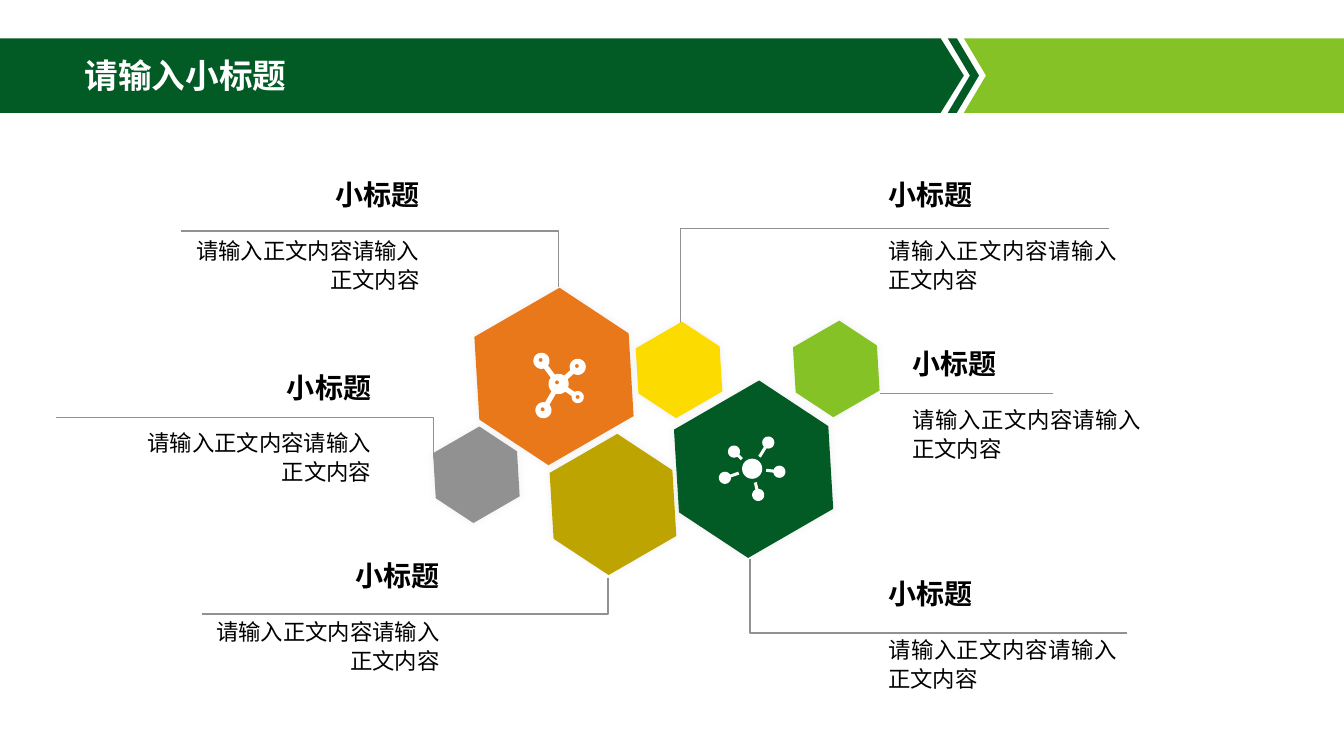
from dataclasses import dataclass
from math import asin, atan2, cos, hypot, pi, sin

from lxml import etree
from pptx import Presentation
from pptx.dml.color import RGBColor
from pptx.enum.shapes import MSO_CONNECTOR, MSO_SHAPE
from pptx.enum.text import MSO_ANCHOR, MSO_AUTO_SIZE, PP_ALIGN
from pptx.oxml.ns import qn
from pptx.util import Emu, Pt

SCALE = 9144  # EMU in one px, 100 px to the inch
FONT = "Noto Sans CJK SC"
GREEN, LIME, GREY = "025B25", "85C226", "919191"
WHITE, BLACK, SHADE = "FFFFFF", "000000", "D9D9D9"
HEXAGON, STRAIGHT = MSO_SHAPE.HEXAGON, MSO_CONNECTOR.STRAIGHT
LEFT, RIGHT, JUSTIFY = PP_ALIGN.LEFT, PP_ALIGN.RIGHT, PP_ALIGN.JUSTIFY
TOP, MIDDLE = MSO_ANCHOR.TOP, MSO_ANCHOR.MIDDLE
NONE, GROW = MSO_AUTO_SIZE.NONE, MSO_AUTO_SIZE.SHAPE_TO_FIT_TEXT

Point = tuple[float, float]


@dataclass
class Hex:
    left: int
    top: int
    width: int
    height: int
    fill: str


@dataclass
class Note:
    left: int
    top: int
    right: bool


@dataclass
class Atom:
    x: int
    y: int
    radius: int


@dataclass
class Icon:
    hub: Atom
    atoms: list[Atom]
    rod: int
    gap: int  # space between hub and rods; 0 joins them
    shine: int  # radius of the glints


BANDS = [
    (GREEN, [(0, 38), (933, 38), (956, 75), (933, 112), (0, 112)]),
    (GREEN, [(940, 38), (949, 38), (971, 75), (949, 112), (940, 112), (962, 75)]),
    (LIME, [(956, 38), (1333, 38), (1333, 112), (956, 112), (978, 75)]),
]
LEADERS = [
    [(554, 285), (554, 229), (180, 229)],
    [(603, 573), (603, 609), (200, 609)],
    [(675, 320), (675, 227), (1100, 227)],
    [(744, 555), (744, 628), (1118, 628)],
    [(430, 454), (430, 414), (56, 414)],
]
NOTES = [
    Note(871, 175, False), Note(895, 343, False), Note(871, 571, False),
    Note(179, 175, True), Note(199, 553, True), Note(131, 366, True),
]
HEXES = [
    Hex(464, 300, 171, 147, "E8781A"), Hex(662, 392, 171, 147, GREEN),
    Hex(627, 327, 93, 80, "FCDB00"), Hex(783, 326, 93, 80, LIME),
    Hex(540, 442, 136, 117, "BDA400"), Hex(426, 431, 93, 80, GREY),
]
ICONS = [
    Icon(Atom(746, 465, 10),
         [Atom(752, 491, 6), Atom(719, 474, 6), Atom(773, 468, 6),
          Atom(728, 448, 6), Atom(762, 439, 6)], 3, 4, 0),
    Icon(Atom(554, 381, 10),
         [Atom(573, 364, 8), Atom(537, 358, 8), Atom(539, 407, 8),
          Atom(573, 394, 6)], 5, 0, 2),
]


def px(size: float) -> Emu:
    return Emu(round(size * SCALE))


def paint(fill, color: str) -> None:
    fill.solid()
    fill.fore_color.rgb = RGBColor.from_string(color)


def trace(shapes, paths: list[list[Point]], close: bool = True):
    pen = None
    for path in paths:
        (x, y), *rest = [(px(a), px(b)) for a, b in path]
        if pen is None:
            pen = shapes.build_freeform(x, y)
        else:
            pen.move_to(x, y)
        pen.add_line_segments(rest, close=close)
    shape = pen.convert_to_shape()
    shape.shadow.inherit = False
    return shape


def solid(shapes, paths: list[list[Point]], color: str) -> None:
    shape = trace(shapes, paths)
    paint(shape.fill, color)
    shape.line.fill.background()


def write(frame, text: str, size: int, color: str, bold: bool, align, space: float) -> None:
    par = frame.paragraphs[0]
    par.alignment, par.line_spacing = align, space
    run = par.add_run()
    run.text = text
    font = run.font
    font.name, font.size, font.bold = FONT, Pt(size), bold
    paint(font.fill, color)
    etree.SubElement(run.font._element, qn("a:ea"), typeface=FONT)


def box(shapes, left: int, top: int, high: int, fit):
    frame = shapes.add_textbox(px(left), px(top), px(247), px(high)).text_frame
    frame.word_wrap, frame.auto_size = True, fit
    frame.vertical_anchor = TOP
    return frame


def add_note(shapes, note: Note) -> None:
    body = box(shapes, note.left, note.top + 53, 76, NONE)
    write(body, "请输入正文内容请输入正文内容", 16, BLACK, False,
          RIGHT if note.right else JUSTIFY, 1.08)
    head = box(shapes, note.left, note.top, 44, GROW)
    write(head, "小标题", 20, BLACK, True, RIGHT if note.right else LEFT, 0.9)


def add_hex(shapes, item: Hex) -> None:
    shape = shapes.add_shape(HEXAGON, px(item.left), px(item.top),
                             px(item.width), px(item.height))
    shape.rotation = 330
    paint(shape.fill, item.fill)
    shape.line.fill.background()
    shape.shadow.inherit = False
    glow = shape.element.spPr.find(qn("a:effectLst"))
    outer = etree.SubElement(glow, qn("a:outerShdw"), blurRad=str(Pt(5)),
                             dist="0", dir="0", algn="ctr", rotWithShape="0")
    tint = etree.SubElement(outer, qn("a:srgbClr"), val=SHADE)
    etree.SubElement(tint, qn("a:alpha"), val="40000")


def arc(atom: Atom, start: float, end: float, steps: int = 24) -> list[Point]:
    turns = [start + (end - start) * i / steps for i in range(steps + 1)]
    return [(atom.x + atom.radius * cos(t), atom.y + atom.radius * sin(t)) for t in turns]


def add_icon(shapes, icon: Icon) -> None:
    hub = icon.hub

    def angle(atom: Atom) -> float:
        return atan2(atom.y - hub.y, atom.x - hub.x)

    root = Atom(hub.x, hub.y, hub.radius + icon.gap)
    bend = asin(icon.rod / 2 / root.radius)
    ring = sorted(icon.atoms, key=angle)
    arms = []
    for i, atom in enumerate(ring):
        turn = angle(atom)
        slant = asin(icon.rod / 2 / atom.radius)
        ball = arc(atom, turn + pi + slant, turn + 3 * pi - slant)
        after = angle(ring[(i + 1) % len(ring)])
        if icon.gap:
            end = turn - bend
        else:
            end = after - bend + (2 * pi if after <= turn else 0)
        arms.append(ball + arc(root, turn + bend, end, 8))
    if icon.gap:
        paths = [arc(hub, 0, 2 * pi)] + arms
    else:
        paths = [sum(arms, [])]
    if icon.shine:
        for atom in [hub] + ring:
            shift = atom.radius / hypot(2, 2)
            glint = Atom(atom.x - shift + 2, atom.y - shift + 2, icon.shine)
            paths.append(arc(glint, 0, 2 * pi, 12))
    solid(shapes, paths, WHITE)


def main() -> None:
    deck = Presentation()
    deck.slide_width, deck.slide_height = px(1333), px(750)
    slide = deck.slides.add_slide(deck.slide_layouts[5])
    shapes = slide.shapes

    # Header bands, with the title above them
    for color, path in BANDS:
        solid(shapes, [path], color)
    title = shapes.title
    title.left, title.top, title.width, title.height = px(74), px(44), px(830), px(66)
    title.text_frame.vertical_anchor = MIDDLE
    write(title.text_frame, "请输入小标题", 24, WHITE, True, LEFT, 0.9)
    shapes.element.append(title.element)

    # Leader lines
    for path in LEADERS:
        shape = trace(shapes, [path], close=False)
        shape.fill.background()
        paint(shape.line.fill, GREY)
        shape.line.width = Pt(1)
    rule = shapes.add_connector(STRAIGHT, px(873), px(390), px(1044), px(390))
    paint(rule.line.fill, GREY)
    rule.line.width = Pt(0.5)
    etree.SubElement(rule.element.spPr, qn("a:effectLst"))

    # Notes, hexagons and icons
    for note in NOTES:
        add_note(shapes, note)
    for item in HEXES:
        add_hex(shapes, item)
    for icon in ICONS:
        add_icon(shapes, icon)
    deck.save("out.pptx")


if __name__ == "__main__":
    main()
